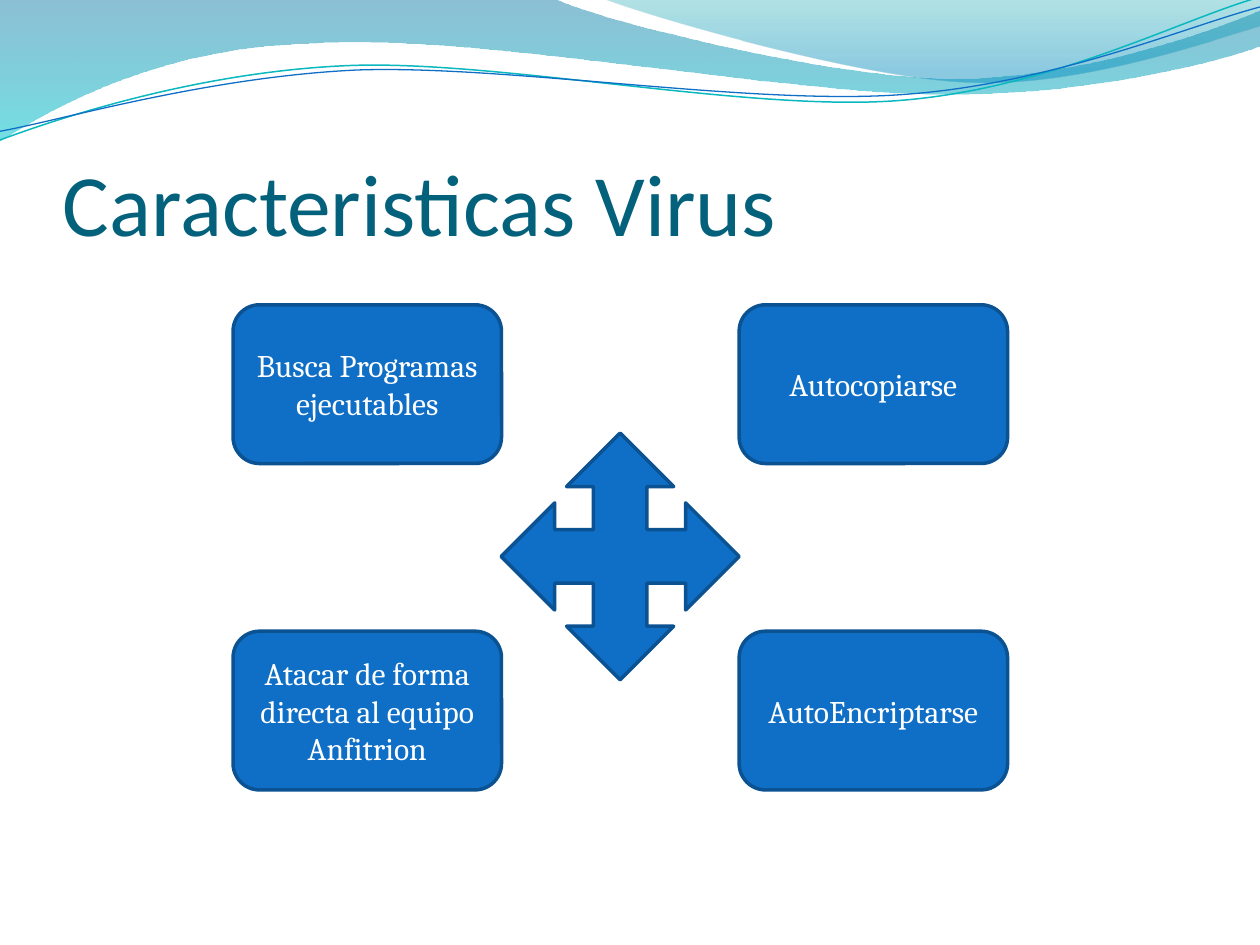
from lxml.etree import Element, SubElement
from pptx import Presentation
from pptx.dml.color import RGBColor
from pptx.enum.shapes import MSO_SHAPE
from pptx.enum.text import MSO_ANCHOR, PP_ALIGN
from pptx.oxml.ns import qn
from pptx.util import Pt


def color(value):
    return RGBColor.from_string(value)


def add_outline(start, segments, close):
    builder = page.shapes.build_freeform(Pt(start[0]), Pt(start[1]))
    corners = [(Pt(x), Pt(y)) for segment in segments for x, y in segment]
    builder.add_line_segments(corners, close=close)
    outline = builder.convert_to_shape()
    outline.shadow.inherit = False
    lines = iter(list(outline._element.iter(qn("a:lnTo"))))
    for segment in segments:
        parts = [next(lines) for point in segment]
        if len(parts) == 3:
            curve = Element(qn("a:cubicBezTo"))
            parts[0].addprevious(curve)
            for part in parts:
                curve.append(part[0])
                part.getparent().remove(part)
    return outline


deck = Presentation()
deck.slide_width, deck.slide_height = Pt(720), Pt(540)
page = deck.slides.add_slide(deck.slide_layouts[6])

waves = [
    ((0, 0), [
        [(317, -0.7)],
        [(343, 12), (478, 45), (546, 45)],
        [(614, 45), (690, 19), (720, 6)],
        [(721, 26)],
        [(708, 32), (626, 55), (537, 54)],
        [(448, 54), (275, 20), (185, 24.5)],
        [(93, 26), (33, 60), (-0.7, 81)],
    ], [(0, "0074A1", 45), (1, "00C6CF", 55)]),
    ((345, -0.7), [
        [(366, 8), (491, 45), (554, 47)],
        [(616, 50), (692, 23), (720, 15)],
        [(720, 0)],
    ], [(0, "00A1A9", 30), (0.8, "008BBF", 45)]),
]
for start, segments, stops in waves:
    wave = add_outline(start, segments, True)
    wave.line.fill.background()
    wave.fill.gradient()
    wave.fill.gradient_angle = 270
    for stop, (position, value, opacity) in zip(wave.fill.gradient_stops, stops):
        stop.position = position
        stop.color.rgb = color(value)
    for node, (position, value, opacity) in zip(wave._element.iter(qn("a:srgbClr")), stops):
        SubElement(node, qn("a:alpha")).set("val", str(opacity * 1000))

strands = [
    ((0, 80), [
        [(35, 67), (114, 41), (199, 37.5)],
        [(284, 34), (427, 64), (513, 57.5)],
        [(600, 51), (675, 11), (719, -1.4)],
    ], "0AB8BF", 0.85),
    ((0, 75), [
        [(34, 69), (118, 44), (204, 40)],
        [(290, 37), (430, 60.5), (516, 54)],
        [(602, 48), (678, 15), (720, 4)],
    ], "0F6FC6", 0.75),
]
for start, segments, value, width in strands:
    strand = add_outline(start, segments, False)
    strand.fill.background()
    strand.line.color.rgb = color(value)
    strand.line.width = Pt(width)

title = page.shapes.add_textbox(Pt(36), Pt(55.4), Pt(648), Pt(90))
frame = title.text_frame
frame.word_wrap = True
frame.vertical_anchor = MSO_ANCHOR.BOTTOM
frame.margin_left = frame.margin_right = frame.margin_bottom = 0
frame.margin_top = Pt(3.6)
frame.text = "Caracteristicas Virus"
font = frame.paragraphs[0].runs[0].font
font.name, font.size = "Calibri", Pt(50)
font.color.rgb = color("04617B")

traits = [
    "Busca Programas ejecutables",
    "Autocopiarse",
    "Atacar de forma directa al equipo Anfitrion",
    "AutoEncriptarse",
]
blocks = [
    (MSO_SHAPE.ROUNDED_RECTANGLE, 133.2 + 289.2 * (index % 2), 174.2 + 186.5 * (index // 2),
     153.4, 90.7, trait)
    for index, trait in enumerate(traits)
]
blocks.append((MSO_SHAPE.QUAD_ARROW, 286.4, 247.5, 136, 141, ""))
for kind, left, top, width, height, text in blocks:
    box = page.shapes.add_shape(kind, Pt(left), Pt(top), Pt(width), Pt(height))
    box.shadow.inherit = False
    box.fill.solid()
    box.fill.fore_color.rgb = color("0F6FC6")
    box.line.color.rgb = color("0B5292")
    box.line.width = Pt(2)
    if text:
        box.text_frame.text = text
        box.text_frame.word_wrap = True
        box.text_frame.vertical_anchor = MSO_ANCHOR.MIDDLE
        para = box.text_frame.paragraphs[0]
        para.alignment = PP_ALIGN.CENTER
        font = para.runs[0].font
        font.name, font.size = "Cambria", Pt(18)
        font.color.rgb = color("FFFFFF")

deck.save("out.pptx")
